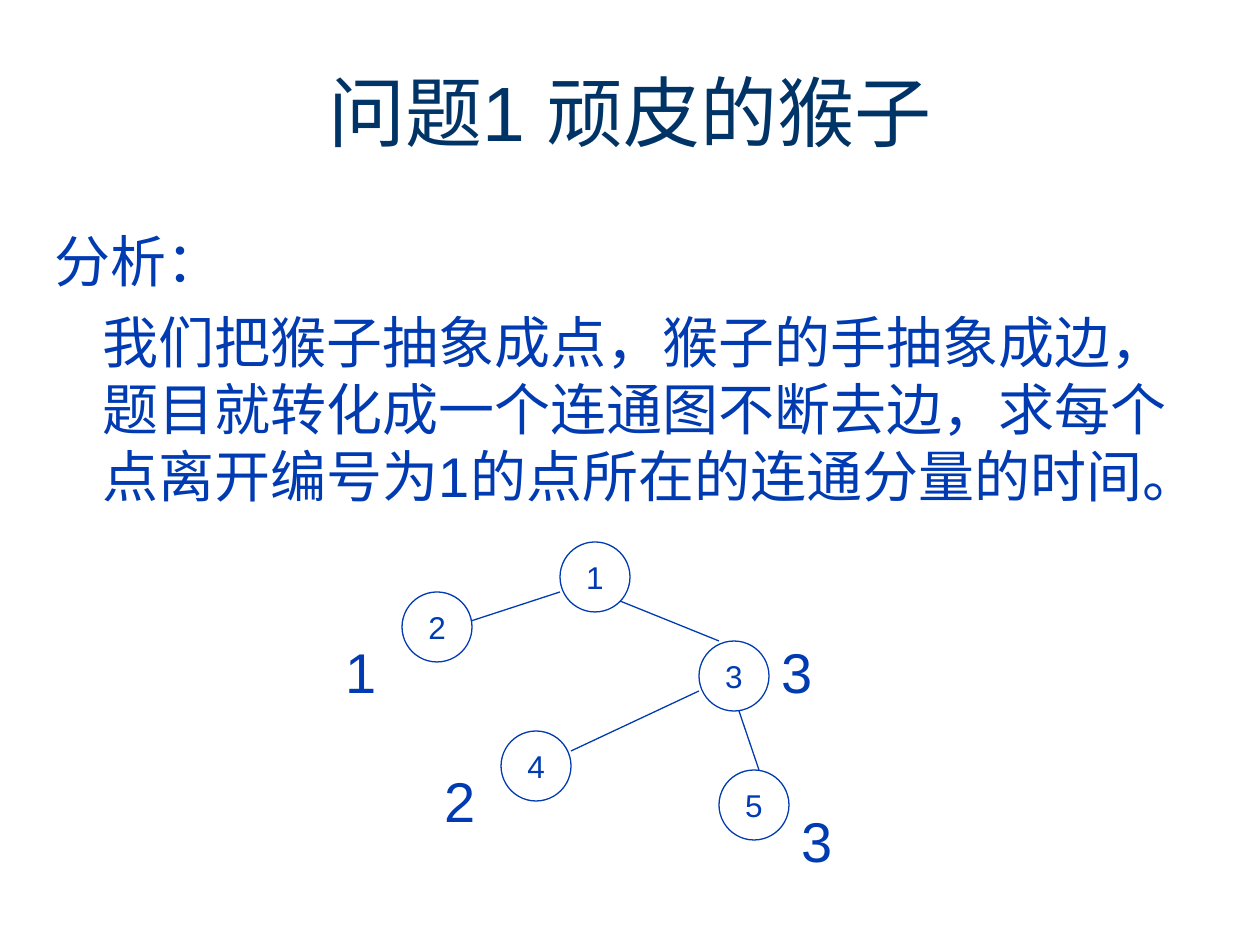
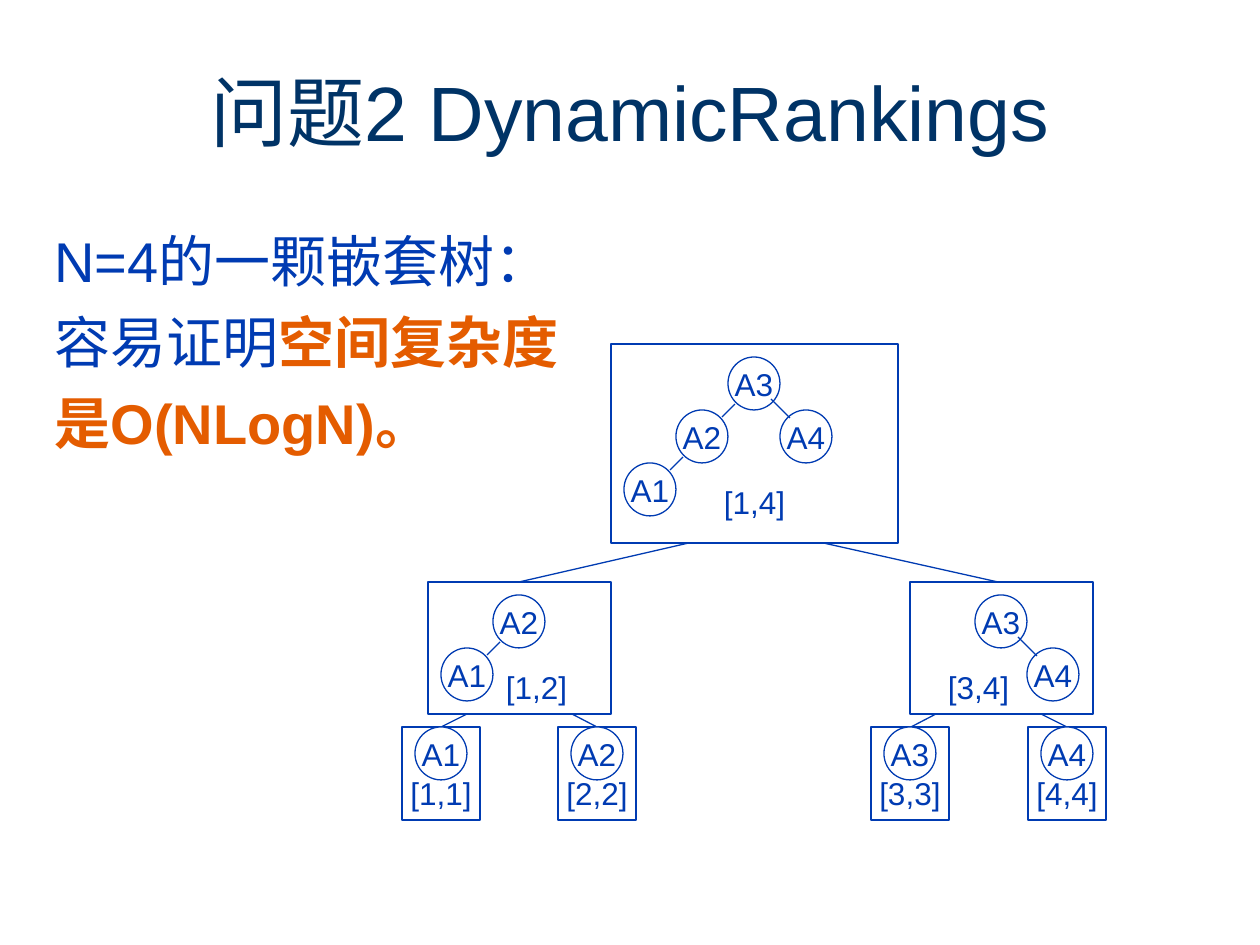
from dataclasses import dataclass

from lxml import etree
from pptx import Presentation
from pptx import util as u
from pptx.dml.color import RGBColor
from pptx.enum import shapes, text
from pptx.oxml import ns

SCALE = u.Inches(1) / 126  # EMU per pixel
TITLE_ONLY = 5


@dataclass(frozen=True)
class Theme:
    font: str = "Arial"
    title_color: RGBColor = RGBColor(0x00, 0x33, 0x66)
    ink: RGBColor = RGBColor(0x00, 0x3B, 0xB2)
    accent: RGBColor = RGBColor(0xE4, 0x5C, 0x00)
    paper: RGBColor = RGBColor(0xFF, 0xFF, 0xFF)
    title_size: int = 44
    body_size: int = 32
    node_size: int = 18
    line_width: float = 0.74
    body_gap: int = 8


THEME = Theme()
LEFT, WIDTH = 42, 1176  # shared by title and body

# Nested-tree grid: each box holds small nodes in cells of this size
CELL_WIDTH, CELL_HEIGHT, PAD = 52, 53, 13


def px(value):
    return u.Emu(round(value * SCALE))


def set_values(target, values):
    for name, value in values.items():
        setattr(target, name, value)


def place(shape, left, top, width, height):
    set_values(shape, {"left": px(left), "top": px(top),
                       "width": px(width), "height": px(height)})


def add_run(paragraph, words, size, color=THEME.ink, bold=False):
    run = paragraph.add_run()
    run.text = words
    set_values(run.font, {"name": THEME.font, "size": u.Pt(size), "bold": bold})
    run.font.color.rgb = color


def add_title(slide, words):
    title = slide.shapes.title
    place(title, LEFT, 32, WIDTH, 157)
    set_values(title.text_frame, {"vertical_anchor": text.MSO_ANCHOR.MIDDLE,
                                  "auto_size": text.MSO_AUTO_SIZE.NONE,
                                  "word_wrap": True})
    paragraph = title.text_frame.paragraphs[0]
    paragraph.alignment = text.PP_ALIGN.CENTER
    add_run(paragraph, words, THEME.title_size, THEME.title_color)


def add_text_box(slide, left, top, width, height):
    box = slide.shapes.add_textbox(px(left), px(top), px(width), px(height))
    box.text_frame.word_wrap = True
    return box.text_frame


def add_body(slide, height, lines):
    """Each line is (left margin, [(words, emphasised), ...])."""
    frame = add_text_box(slide, LEFT, 220, WIDTH, height)
    for index, (margin, runs) in enumerate(lines):
        paragraph = frame.add_paragraph() if index else frame.paragraphs[0]
        paragraph.space_before = u.Pt(THEME.body_gap)
        paragraph._p.get_or_add_pPr().set("marL", str(px(margin)))
        for words, emphasised in runs:
            color = THEME.accent if emphasised else THEME.ink
            add_run(paragraph, words, THEME.body_size, color, emphasised)


def add_outlined(slide, kind, bounds, words, frame_values):
    shape = slide.shapes.add_shape(kind, *map(px, bounds))
    shape.shadow.inherit = False
    shape.fill.solid()
    shape.fill.fore_color.rgb = THEME.paper
    shape.line.color.rgb = THEME.ink
    shape.line.width = u.Pt(THEME.line_width)
    margins = {f"margin_{side}": 0 for side in ("left", "right", "top", "bottom")}
    set_values(shape.text_frame, {"word_wrap": False, **margins, **frame_values})
    paragraph = shape.text_frame.paragraphs[0]
    paragraph.alignment = text.PP_ALIGN.CENTER
    add_run(paragraph, words, THEME.node_size)


def add_node(slide, left, top, width, height, words):
    add_outlined(slide, shapes.MSO_SHAPE.OVAL, (left, top, width, height), words,
                 {"vertical_anchor": text.MSO_ANCHOR.MIDDLE})


def add_edge(slide, *ends):
    edge = slide.shapes.add_connector(shapes.MSO_CONNECTOR.STRAIGHT, *map(px, ends))
    edge.line.color.rgb = THEME.ink
    edge.line.width = u.Pt(THEME.line_width)
    etree.SubElement(edge._element.spPr, ns.qn("a:effectLst"))


def add_tree_box(slide, bounds, interval, nodes, edges=(), rise=8, shift=0, top_pad=PAD):
    """Box with its interval at the foot; nodes are name: (column, row)."""
    add_outlined(slide, shapes.MSO_SHAPE.RECTANGLE, bounds, interval,
                 {"vertical_anchor": text.MSO_ANCHOR.BOTTOM,
                  "margin_bottom": px(rise),
                  "margin_left": px(max(2 * shift, 0)),
                  "margin_right": px(max(-2 * shift, 0))})
    corners = {name: (bounds[0] + PAD + column * CELL_WIDTH,
                      bounds[1] + top_pad + row * CELL_HEIGHT)
               for name, (column, row) in nodes.items()}
    for name, corner in corners.items():
        add_node(slide, *corner, CELL_WIDTH, CELL_HEIGHT, name)
    for parent, child in edges:
        x, y = corners[parent]
        if corners[child][0] < x:
            add_edge(slide, x + 7, y + 47, x - 6, y + 60)
        else:
            add_edge(slide, x + 43, y + 42, x + 62, y + 61)


def build_monkeys(slide):
    add_title(slide, "问题1 顽皮的猴子")
    add_body(slide, 352, [
        (0, [("分析：", False)]),
        (48, [("我们把猴子抽象成点，猴子的手抽象成边，题目就转化成一个连通图"
               "不断去边，求每个点离开编号为1的点所在的连通分量的时间。", False)]),
    ])
    # Graph
    diameter = 70
    nodes = {"2": (402, 592), "3": (699, 641), "5": (719, 770),
             "4": (501, 731), "1": (560, 542)}
    for name, corner in nodes.items():
        add_node(slide, *corner, diameter, diameter, name)
    for ends in ((560, 592, 471, 621), (620, 601, 719, 641),
                 (699, 691, 571, 751), (739, 711, 759, 770)):
        add_edge(slide, *ends)
    # Leaving times beside the nodes
    for words, left, top, width in (("1", 333, 631, 69), ("2", 432, 760, 69),
                                    ("3", 769, 631, 59), ("3", 789, 800, 59)):
        frame = add_text_box(slide, left, top, width, 80)
        add_run(frame.paragraphs[0], words, THEME.body_size)


def build_rankings(slide):
    add_title(slide, "问题2 DynamicRankings")
    add_body(slide, 401, [
        (0, [("N=4的一颗嵌套树：", False)]),
        (0, [("容易证明", False), ("空间复杂度", True)]),
        (0, [("是O(NLogN)。", True)]),
    ])
    # Branches between the boxes
    for ends in ((693, 542, 519, 582), (819, 542, 998, 582),
                 (467, 714, 441, 727), (572, 714, 597, 727),
                 (936, 714, 911, 727), (1041, 714, 1067, 727)):
        add_edge(slide, *ends)
    # Root, halves, leaves
    add_tree_box(slide, (611, 344, 287, 199), "[1,4]",
                 {"A3": (2, 0), "A4": (3, 1), "A2": (1, 1), "A1": (0, 2)},
                 (("A3", "A2"), ("A2", "A1"), ("A3", "A4")), rise=22)
    add_tree_box(slide, (428, 582, 183, 132), "[1,2]",
                 {"A2": (1, 0), "A1": (0, 1)}, (("A2", "A1"),), shift=17)
    add_tree_box(slide, (910, 582, 183, 132), "[3,4]",
                 {"A3": (1, 0), "A4": (2, 1)}, (("A3", "A4"),), shift=-23)
    for number, left in enumerate((402, 558, 871, 1028), start=1):
        add_tree_box(slide, (left, 727, 78, 93), f"[{number},{number}]",
                     {f"A{number}": (0, 0)}, top_pad=0)


def main():
    presentation = Presentation()
    set_values(presentation, {"slide_width": u.Inches(10),
                              "slide_height": u.Inches(7.5)})
    for build in (build_monkeys, build_rankings):
        build(presentation.slides.add_slide(presentation.slide_layouts[TITLE_ONLY]))
    presentation.save("out.pptx")


main()
